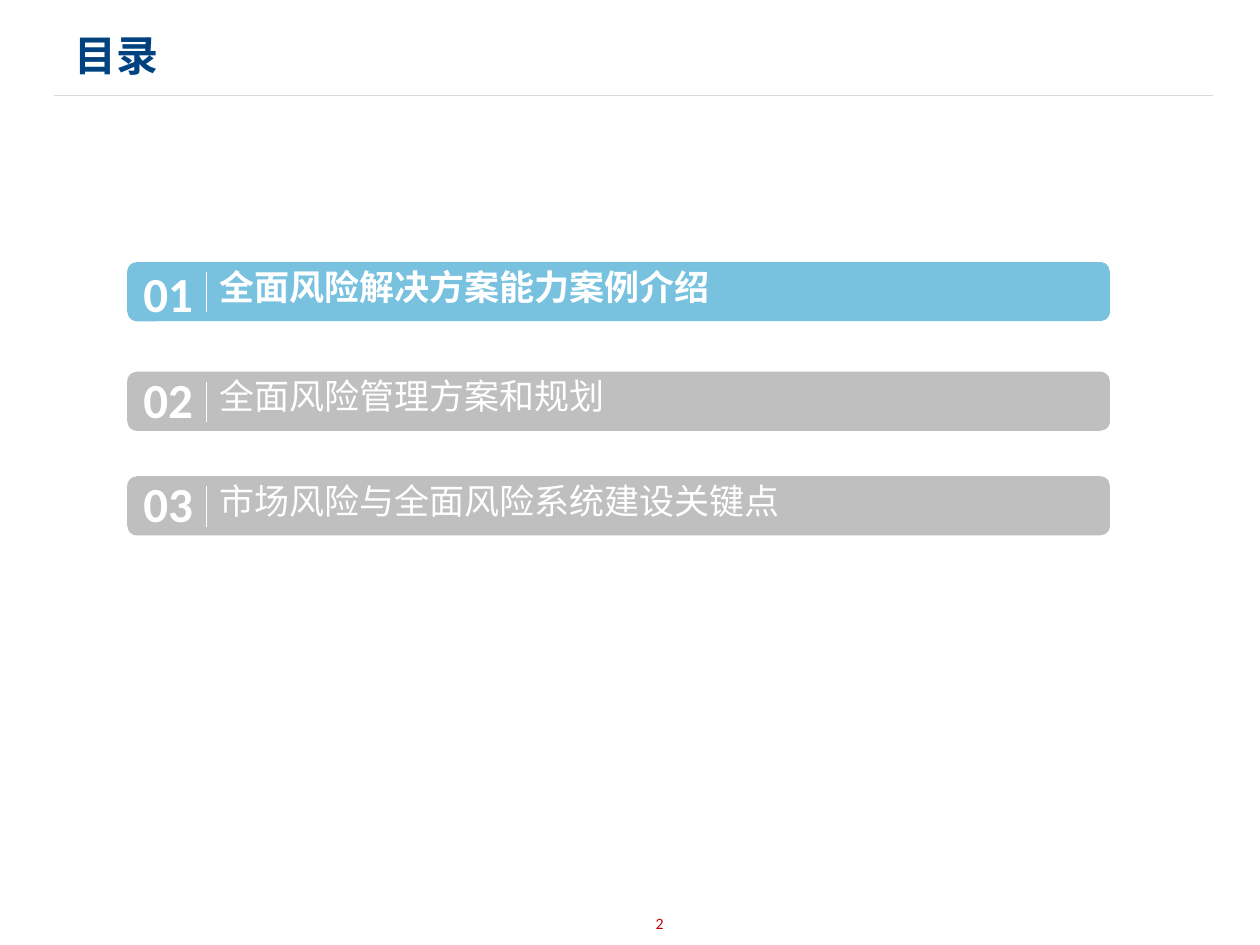
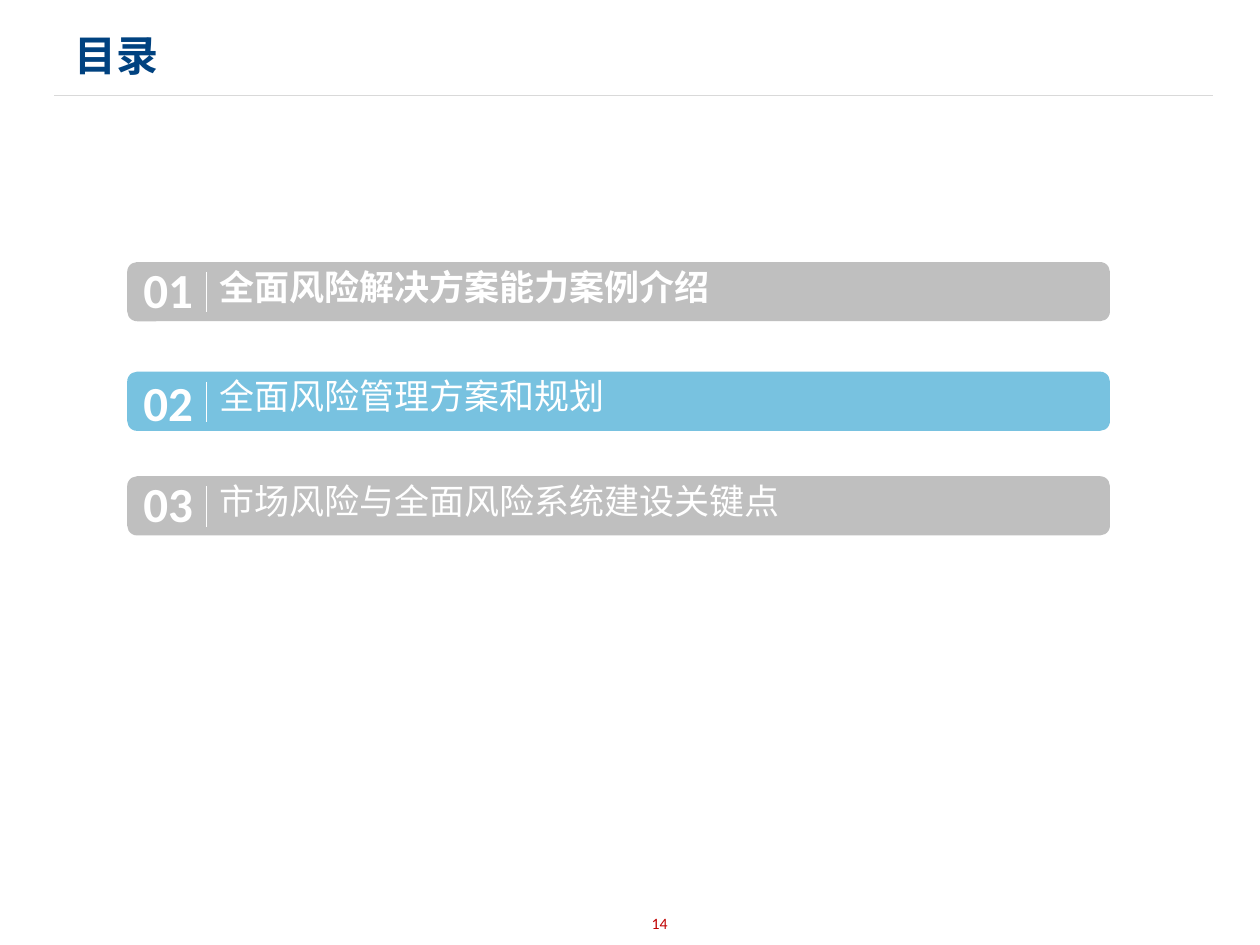
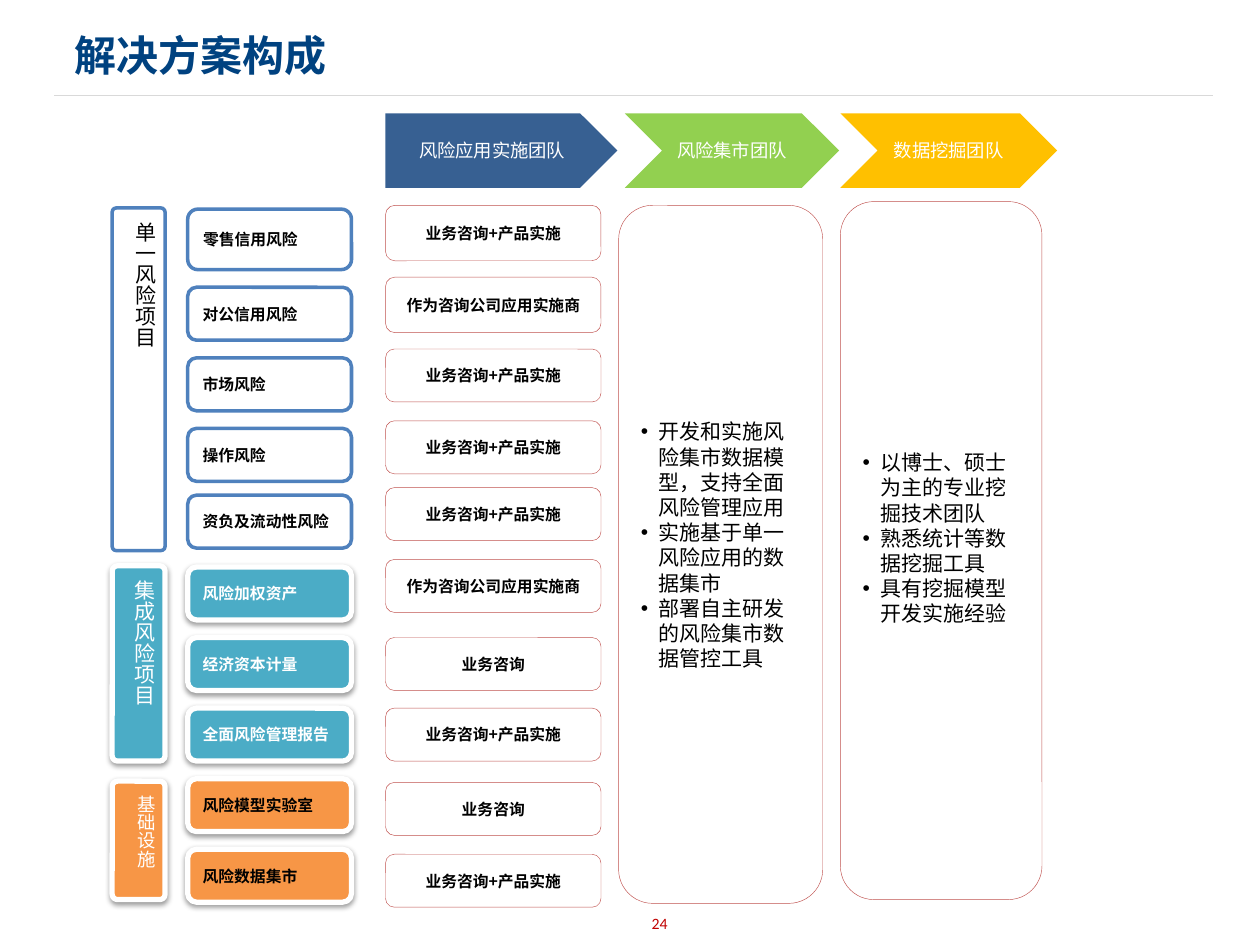
from lxml import etree
from pptx import Presentation
from pptx.dml.color import RGBColor
from pptx.enum import shapes, text
from pptx.oxml import ns
from pptx.util import Inches, Pt

NAVY = RGBColor(0x00, 0x42, 0x80)
RULE_GREY = RGBColor(0xD9, 0xD9, 0xD9)
PAGE_RED = RGBColor(0xC0, 0x00, 0x00)
WHITE = RGBColor(0xFF, 0xFF, 0xFF)
BLACK = RGBColor(0x00, 0x00, 0x00)
SKY = RGBColor(0x78, 0xC2, 0xE0)
GREY = RGBColor(0xBF, 0xBF, 0xBF)
BLUE = RGBColor(0x4F, 0x81, 0xBD)
TEAL = RGBColor(0x4B, 0xAC, 0xC6)
ORANGE = RGBColor(0xF7, 0x96, 0x46)
BRICK = RGBColor(0xC0, 0x50, 0x4D)
DEEP_BLUE = RGBColor(0x37, 0x60, 0x92)
GREEN = RGBColor(0x92, 0xD0, 0x50)
GOLD = RGBColor(0xFF, 0xC0, 0x00)

CJK = "Noto Sans CJK SC"
LATIN = "Calibri"
KIND = shapes.MSO_SHAPE
LEFT, CENTER, RIGHT = text.PP_ALIGN.LEFT, text.PP_ALIGN.CENTER, text.PP_ALIGN.RIGHT
TOP, MIDDLE = text.MSO_ANCHOR.TOP, text.MSO_ANCHOR.MIDDLE

AGENDA = ["全面风险解决方案能力案例介绍", "全面风险管理方案和规划", "市场风险与全面风险系统建设关键点"]
AGENDA_TOPS = [2.08, 2.95, 3.78]

OUTLINED = {"fill": WHITE, "line": BLUE, "weight": 2}
RAISED_TEAL = {"fill": TEAL, "line": WHITE, "weight": 3, "raised": True}
RAISED_ORANGE = {"fill": ORANGE, "line": WHITE, "weight": 3, "raised": True}
THIN = {"fill": WHITE, "line": BRICK, "weight": 0.25}

CATEGORIES = [
    ("单一风险项目", 1.65, 2.72, 0.08, OUTLINED, 12, BLACK),
    ("集成风险项目", 4.49, 1.55, 0.1, RAISED_TEAL, 12, WHITE),
    ("基础设施", 6.2, 0.94, 0.1, RAISED_ORANGE, 10.5, WHITE),
]
RISKS = [
    ("零售信用风险", 1.66, 0.48, OUTLINED, BLACK),
    ("对公信用风险", 2.28, 0.42, OUTLINED, BLACK),
    ("市场风险", 2.84, 0.42, OUTLINED, BLACK),
    ("操作风险", 3.4, 0.42, OUTLINED, BLACK),
    ("资负及流动性风险", 3.93, 0.42, OUTLINED, BLACK),
    ("风险加权资产", 4.5, 0.42, RAISED_TEAL, WHITE),
    ("经济资本计量", 5.06, 0.42, RAISED_TEAL, WHITE),
    ("全面风险管理报告", 5.62, 0.42, RAISED_TEAL, WHITE),
    ("风险模型实验室", 6.18, 0.42, RAISED_ORANGE, BLACK),
    ("风险数据集市", 6.74, 0.42, RAISED_ORANGE, BLACK),
]
FULL, PARTNER, ADVICE = "业务咨询+产品实施", "作为咨询公司应用实施商", "业务咨询"
SERVICES = [
    (FULL, 1.63, 0.44), (PARTNER, 2.2, 0.44), (FULL, 2.77, 0.42), (FULL, 3.34, 0.42),
    (FULL, 3.87, 0.42), (PARTNER, 4.44, 0.42), (ADVICE, 5.06, 0.42), (FULL, 5.62, 0.42),
    (ADVICE, 6.21, 0.42), (FULL, 6.78, 0.42),
]
TEAMS = [
    ("风险应用实施团队", KIND.PENTAGON, 3.06, 1.84, DEEP_BLUE),
    ("风险集市团队", KIND.CHEVRON, 4.96, 1.7, GREEN),
    ("数据挖掘团队", KIND.CHEVRON, 6.67, 1.72, GOLD),
]
PANELS = [
    ((4.91, 1.63, 1.62, 5.54), 0.2, [
        "开发和实施风险集市数据模型，支持全面风险管理应用",
        "实施基于单一风险应用的数据集市",
        "部署自主研发的风险集市数据管控工具"]),
    ((6.67, 1.6, 1.6, 5.54), 0.25, [
        "以博士、硕士为主的专业挖掘技术团队",
        "熟悉统计等数据挖掘工具",
        "具有挖掘模型开发实施经验"]),
]


def add_child(parent, tag, **attributes):
    """Append a drawing element with the given attributes."""
    return etree.SubElement(parent, ns.qn(tag), {key: str(value) for key, value in attributes.items()})


def apply(target, values):
    """Set each named attribute of the target."""
    for name, value in values.items():
        setattr(target, name, value)


def write(shape, lines, size, color, bold=False, font=CJK, align=LEFT, frame=None, spacing=None):
    """Fill a shape with one paragraph per line and return the paragraphs."""
    apply(shape.text_frame, {"word_wrap": True, "vertical_anchor": MIDDLE, **(frame or {})})
    paras = []
    for index, line in enumerate(lines):
        para = shape.text_frame.add_paragraph() if index else shape.text_frame.paragraphs[0]
        apply(para, {"alignment": align, "line_spacing": spacing})
        span = para.add_run()
        span.text = line
        apply(span.font, {"size": Pt(size), "bold": bold, "name": font})
        span.font.color.rgb = color
        add_child(span.font._element, "a:ea", typeface=CJK)
        paras.append(para)
    return paras


def add_label(page, box, line, size, color, **style):
    """Add a text box holding one line."""
    label = page.shapes.add_textbox(*map(Inches, box))
    write(label, [line], size, color, **style)


def add_block(page, kind, box, fill, line=None, weight=0, raised=False):
    """Add a filled preset shape, outlined or raised on request."""
    block = page.shapes.add_shape(kind, *map(Inches, box))
    block.shadow.inherit = False
    block.fill.solid()
    block.fill.fore_color.rgb = fill
    if line is None:
        block.line.fill.background()
    else:
        block.line.color.rgb = line
        block.line.width = Pt(weight)
    if raised:
        effects = block._element.spPr.find(ns.qn("a:effectLst"))
        shadow = add_child(effects, "a:outerShdw", blurRad=Pt(3.1), dist=Pt(1.6),
                           dir=90 * 60000, rotWithShape=0)
        add_child(add_child(shadow, "a:srgbClr", val=BLACK), "a:alpha", val=38000)
    return block


def add_rule(page, start, end, color):
    """Draw a thin straight line."""
    rule = page.shapes.add_connector(shapes.MSO_CONNECTOR.STRAIGHT, *map(Inches, start + end))
    rule.line.color.rgb = color
    rule.line.width = Pt(0.75)
    add_child(rule._element.spPr, "a:effectLst")


def add_page(deck, title, number):
    """Start a page with its title, rule and page number."""
    page = deck.slides.add_slide(deck.slide_layouts[6])
    add_rule(page, (0.43, 0.76), (9.63, 0.76), RULE_GREY)
    insets = {"margin_left": Inches(0.08), "margin_right": Inches(0.08),
              "margin_top": Inches(0.04), "margin_bottom": Inches(0.04)}
    add_label(page, (0.51, 0.08, 9.13, 0.71), title, 24, NAVY, bold=True, font=LATIN, frame=insets)
    add_label(page, (4.47, 7.13, 1.53, 0.4), str(number), 9, PAGE_RED, font=LATIN,
              align=CENTER, frame=insets)
    return page


def add_agenda_bar(page, left, top, index, active):
    """Draw one agenda bar with number, divider and heading."""
    add_block(page, KIND.ROUNDED_RECTANGLE, (left, top, 7.8, 0.47), SKY if active else GREY)
    grow = {"vertical_anchor": TOP, "auto_size": text.MSO_AUTO_SIZE.SHAPE_TO_FIT_TEXT}
    add_label(page, (left + 0.02, top - (0.04 if active else 0.07), 0.6, 0.57), f"{index + 1:02}",
              28, WHITE, bold=True, font=LATIN, align=RIGHT, frame={**grow, "word_wrap": False})
    add_label(page, (left + 0.63, top, 6.93, 0.42), AGENDA[index], 20, WHITE, bold=index == 0,
              frame=grow, spacing=0.95)
    add_rule(page, (left + 0.63, top + 0.08), (left + 0.63, top + 0.4), WHITE)


def build_agenda(deck, number, current):
    """Build an agenda page with the current section highlighted."""
    page = add_page(deck, "目录", number)
    for index, top in enumerate(AGENDA_TOPS):
        add_agenda_bar(page, 1.01, top, index, index == current)


def add_categories(page, left):
    """Draw the column of vertical category labels."""
    for name, top, height, corner, look, size, color in CATEGORIES:
        block = add_block(page, KIND.ROUNDED_RECTANGLE, (left, top, 0.42, height), **look)
        block.adjustments[0] = corner
        write(block, [name], size, color, frame={"vertical_anchor": TOP})
        block.text_frame._txBody.bodyPr.set("vert", "eaVert")


def add_risks(page, left):
    """Draw the column of risk modules."""
    for name, top, height, look, color in RISKS:
        block = add_block(page, KIND.ROUNDED_RECTANGLE, (left, top, 1.3, height), **look)
        write(block, [name], 9, color, bold=True, font="Arial" if look is RAISED_ORANGE else CJK)


def add_services(page, left):
    """Draw the column of services offered for each risk."""
    for name, top, height in SERVICES:
        block = add_block(page, KIND.ROUNDED_RECTANGLE, (left, top, 1.71, height), **THIN)
        write(block, [name], 9, BLACK, bold=True, align=CENTER)


def add_teams(page, top):
    """Draw the row of team arrows."""
    for name, kind, left, width, fill in TEAMS:
        block = add_block(page, kind, (left, top, width, 0.59), fill)
        write(block, [name], 10.5, WHITE, align=CENTER)


def add_panel(page, box, bottom, lines):
    """Draw a tall panel with a bulleted list."""
    block = add_block(page, KIND.ROUNDED_RECTANGLE, box, **THIN)
    for para in write(block, lines, 12, BLACK, frame={"margin_bottom": Inches(bottom)}):
        layout = para._p.get_or_add_pPr()
        layout.set("marL", str(Inches(0.14)))
        layout.set("indent", str(-Inches(0.14)))
        add_child(layout, "a:buFont", typeface="Arial")
        add_child(layout, "a:buChar", char="•")


def build_solution(deck, number):
    """Build the page on the parts of the solution."""
    page = add_page(deck, "解决方案构成", number)
    add_teams(page, 0.9)
    add_categories(page, 0.89)
    add_risks(page, 1.49)
    add_services(page, 3.06)
    for box, bottom, lines in PANELS:
        add_panel(page, box, bottom, lines)


def main():
    """Build and save the deck."""
    deck = Presentation()
    apply(deck, {"slide_width": Inches(10), "slide_height": Inches(7.5)})
    build_agenda(deck, 2, 0)
    build_agenda(deck, 14, 1)
    build_solution(deck, 24)
    deck.save("out.pptx")


if __name__ == "__main__":
    main()
